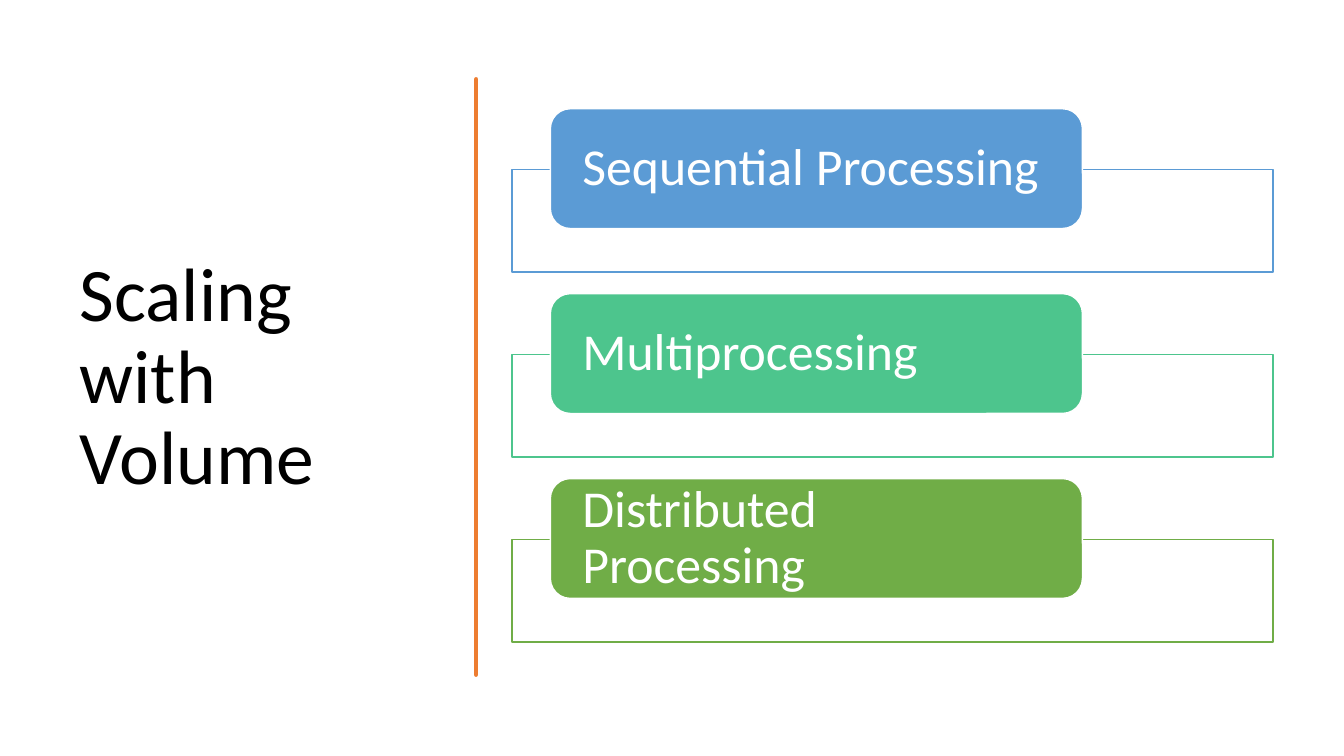
from lxml import etree
from pptx import Presentation
from pptx import util as u
from pptx.dml.color import RGBColor
from pptx.enum import shapes, text
from pptx.oxml import ns

FONT = "Calibri"
WHITE = "FFFFFF"
ORANGE = "ED7D31"
STAGES = [
    ("Sequential Processing", "5B9BD5"),
    ("Multiprocessing", "4DC58D"),
    ("Distributed Processing", "70AD47"),
]
STAGE_PITCH = 4.66
RIGHT_EDGE = [
    (12.07, 2.13), (12.1, 2.8), (12.09, 3.4), (12.04, 4.4), (12.08, 5.2),
    (12.05, 6.8), (12.09, 8.3), (12.07, 9.2), (12.1, 10.4), (12.09, 11.1),
    (12.03, 11.8), (12.06, 12.8), (12.1, 13.7), (12.09, 14.8), (12.05, 15.8),
    (12.07, 17.17),
]
LEFT_EDGE = [
    (12.01, 17.17), (11.99, 16.3), (12.02, 15.2), (12, 14.2), (11.99, 13.2),
    (12.02, 12.4), (11.98, 11.2), (12.02, 10.2), (11.98, 8.9), (12, 7.6),
    (11.98, 6.6), (12.02, 5.4), (11.98, 4.3), (12.03, 3.2), (12.01, 2.13),
]


def color(hex_code):
    """Turn a hex string into a colour."""
    return RGBColor.from_string(hex_code)


def paint(shape, fill, line, width):
    """Give a shape a solid fill and outline without a shadow."""
    shape.shadow.inherit = False
    shape.fill.solid()
    shape.fill.fore_color.rgb = color(fill)
    shape.line.color.rgb = color(line)
    shape.line.width = u.Pt(width)


def write(shape, words, size, font_color):
    """Write one left-aligned, vertically centred paragraph."""
    frame = shape.text_frame
    frame.word_wrap = True
    frame.auto_size = text.MSO_AUTO_SIZE.NONE
    frame.vertical_anchor = text.MSO_ANCHOR.MIDDLE
    frame.text = words
    paragraph = frame.paragraphs[0]
    paragraph.alignment = text.PP_ALIGN.LEFT
    paragraph.line_spacing = 0.9
    paragraph.font.name = FONT
    paragraph.font.size = u.Pt(size)
    paragraph.font.color.rgb = color(font_color)


def add_box(slide, kind, left, top, width, height):
    """Add a preset shape measured in centimetres."""
    return slide.shapes.add_shape(
        kind, u.Cm(left), u.Cm(top), u.Cm(width), u.Cm(height))


def add_title(slide, words):
    """Place and format the title placeholder."""
    title = slide.shapes.title
    title.left, title.top = u.Cm(1.75), u.Cm(1.78)
    title.width, title.height = u.Cm(9.5), u.Cm(15.52)
    write(title, words, 54, "000000")


def add_divider(slide):
    """Draw the hand-drawn vertical rule."""
    outline = RIGHT_EDGE + LEFT_EDGE
    builder = slide.shapes.build_freeform(*outline[0], scale=u.Cm(1))
    builder.add_line_segments(outline[1:], close=True)
    divider = builder.convert_to_shape()
    paint(divider, ORANGE, ORANGE, 3.25)
    etree.SubElement(divider.line._get_or_add_ln(), ns.qn("a:round"))


def add_stage(slide, words, accent, offset):
    """Add an outlined frame with its rounded label."""
    kinds = shapes.MSO_SHAPE
    frame = add_box(slide, kinds.RECTANGLE, 12.9, 4.27 + offset, 19.18, 2.59)
    paint(frame, WHITE, accent, 1)
    fill_color = frame._element.spPr.find(
        f"{ns.qn('a:solidFill')}/{ns.qn('a:srgbClr')}")
    etree.SubElement(fill_color, ns.qn("a:alpha"), val="90000")
    label = add_box(
        slide, kinds.ROUNDED_RECTANGLE, 13.87, 2.74 + offset, 13.41, 3.02)
    paint(label, accent, WHITE, 1)
    write(label, words, 37, WHITE)
    label.text_frame.margin_left = label.text_frame.margin_right = u.Cm(0.66)
    label.text_frame.margin_top = label.text_frame.margin_bottom = 0


def main():
    """Build and save the slide."""
    presentation = Presentation()
    presentation.slide_width = u.Cm(33.87)
    presentation.slide_height = u.Cm(19.05)
    slide = presentation.slides.add_slide(presentation.slide_layouts[5])
    add_title(slide, "Scaling with Volume")
    add_divider(slide)
    for index, (words, accent) in enumerate(STAGES):
        add_stage(slide, words, accent, index * STAGE_PITCH)
    presentation.save("out.pptx")


if __name__ == "__main__":
    main()
